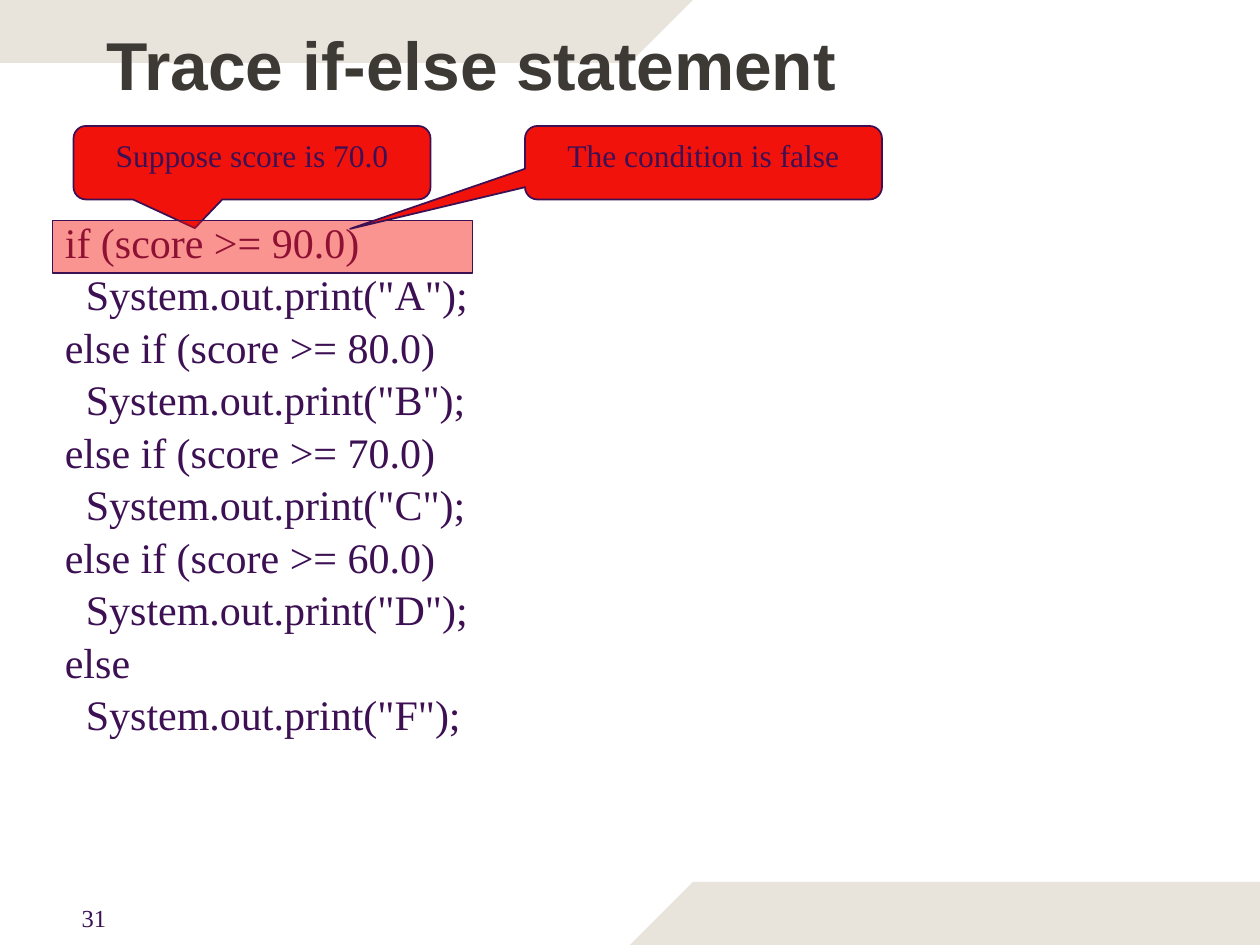
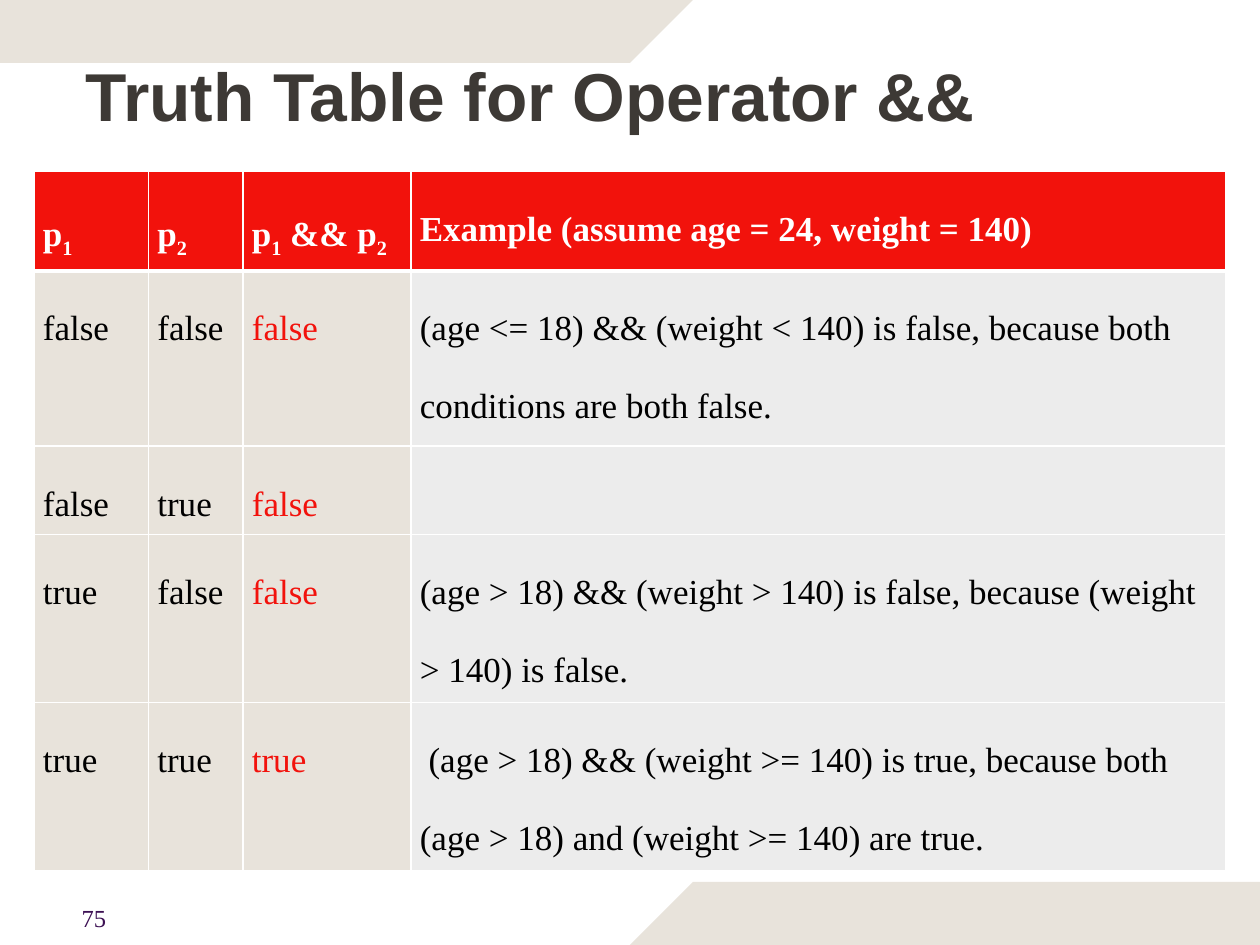
from lxml.etree import SubElement
from pptx import Presentation
from pptx.dml.color import RGBColor as RGB
from pptx.enum.shapes import MSO_SHAPE as SHAPE
from pptx.enum.text import MSO_ANCHOR as ANCHOR, PP_ALIGN as ALIGN
from pptx.oxml.ns import qn
from pptx.util import Inches, Pt

C = {"band": "E8E3DB", "title": "3D3935", "ink": "3C1053", "red": "F2120C",
     "pale": "ECECEC", "white": "FFFFFF", "black": "000000"}
SERIF, SANS = "Times New Roman", "Arial"

prs = Presentation()
prs.slide_width, prs.slide_height = Inches(10), Inches(7.5)
COLS, ROWS = 120, 90
U = prs.slide_width // COLS


def grid(*units):
    return [int(u * U) for u in units]


def add_run(p, text, size, color, font=SERIF, bold=False, base=0):
    r = p.add_run()
    r.text = text
    r.font.size, r.font.name, r.font.bold = Pt(size), font, bold
    r.font.color.rgb = RGB.from_string(C[color])
    if base:
        r.font._element.set("baseline", str(base * 1000))


bands = [[(0, 0), (66, 0), (60, 6), (0, 6)],
         [(COLS, ROWS), (60, ROWS), (66, 84), (COLS, 84)]]
heads = [("Trace if-else statement", (9, 0, 105, 12), "31"),
         ("Truth Table for Operator &&", (7, 0, 102, 18), "75")]

slides = []
for title, title_box, number in heads:
    s = prs.slides.add_slide(prs.slide_layouts[6])
    slides.append(s)
    for band in bands:
        fb = s.shapes.build_freeform(*band[0], scale=U)
        fb.add_line_segments(band[1:], close=True)
        sp = fb.convert_to_shape()
        sp.shadow.inherit = False
        sp.fill.solid()
        sp.fill.fore_color.rgb = RGB.from_string(C["band"])
        sp.line.fill.background()
    tf = s.shapes.add_textbox(*grid(6.6, 85.4, 6, 3.3)).text_frame
    add_run(tf.paragraphs[0], number, 14, "ink")
    tf = s.shapes.add_textbox(*grid(*title_box)).text_frame
    tf.word_wrap, tf.vertical_anchor = True, ANCHOR.MIDDLE
    add_run(tf.paragraphs[0], title, 38.7, "title", SANS, True)

trace, truth = slides

code = '''if (score >= 90.0)
  System.out.print("A");
else if (score >= 80.0)
  System.out.print("B");
else if (score >= 70.0)
  System.out.print("C");
else if (score >= 60.0)
  System.out.print("D");
else
  System.out.print("F");'''
tf = trace.shapes.add_textbox(*grid(5, 20, 45, 49.7)).text_frame
for i, line in enumerate(code.split("\n")):
    p = tf.add_paragraph() if i else tf.paragraphs[0]
    p.space_after = Pt(1.2)
    add_run(p, line, 24, "ink")

CALLOUT = SHAPE.ROUNDED_RECTANGULAR_CALLOUT
marks = [(CALLOUT, (7, 12, 34, 7), "Suppose score is 70.0", (-0.16, 0.89, 0.17)),
         (SHAPE.RECTANGLE, (5, 21, 40, 5), "", ()),
         (CALLOUT, (50, 12, 34, 7), "The condition is false", (-0.99, 0.9, 0.17))]
for kind, box, text, adjust in marks:
    sp = trace.shapes.add_shape(kind, *grid(*box))
    sp.shadow.inherit = False
    sp.fill.solid()
    sp.fill.fore_color.rgb = RGB.from_string(C["red"])
    sp.line.color.rgb = RGB.from_string(C["ink"])
    sp.line.width = Pt(1)
    for i, value in enumerate(adjust):
        sp.adjustments[i] = value
    if text:
        tf = sp.text_frame
        tf.word_wrap, tf.vertical_anchor = True, ANCHOR.TOP
        p = tf.paragraphs[0]
        p.alignment = ALIGN.CENTER
        add_run(p, text, 18, "ink")
    else:
        rgb = sp._element.spPr.find(".//" + qn("a:srgbClr"))
        SubElement(rgb, qn("a:alpha")).set("val", "45000")

p1, p2 = [("p", 0), ("1", -25)], [("p", 0), ("2", -25)]
rows = [
    [p1, p2, p1 + [(" && p", 0), ("2", -25)], "Example (assume age = 24, weight = 140)"],
    ["false", "false", "false",
     "(age <= 18) && (weight < 140) is false, because both conditions are both false."],
    ["false", "true", "false", ""],
    ["true", "false", "false",
     "(age > 18) && (weight > 140) is false, because (weight > 140) is false."],
    ["true", "true", "true",
     "(age > 18) && (weight >= 140) is true, because both (age > 18) and (weight >= 140) are true."],
]
col_units, row_units = [10.9, 9, 16, 77.6], [9.5, 16.7, 8.4, 16, 16]
tbl = truth.shapes.add_table(len(rows), len(col_units), *grid(
    3.25, 16.3, sum(col_units), sum(row_units))).table
tbl.horz_banding = False
for col, width in zip(tbl.columns, grid(*col_units)):
    col.width = width
for row, height in zip(tbl.rows, grid(*row_units)):
    row.height = height

for i, row in enumerate(rows):
    for j, content in enumerate(row):
        cell = tbl.cell(i, j)
        cell.margin_left = cell.margin_right = Inches(0.07)
        cell.margin_top = cell.margin_bottom = 0
        tcPr = cell._tc.get_or_add_tcPr()
        for side in "LRTB":
            thick = (i, side) in [(0, "B"), (1, "T")]
            ln = SubElement(tcPr, qn("a:ln" + side), w=str(Pt(3 if thick else 1)))
            fill = SubElement(ln, qn("a:solidFill"))
            SubElement(fill, qn("a:srgbClr"), val=C["white"])
        cell.fill.solid()
        shade = "red" if i == 0 else "pale" if j == 3 else "band"
        cell.fill.fore_color.rgb = RGB.from_string(C[shade])
        if not content:
            continue
        p = cell.text_frame.paragraphs[0]
        p.line_spacing = 2.0
        if (i, j) == (4, 3):
            p._p.get_or_add_pPr().set("indent", str(Pt(5)))
        color = "white" if i == 0 else "red" if j == 2 else "black"
        parts = [(content, 0)] if isinstance(content, str) else content
        for text, base in parts:
            add_run(p, text, 20, color, bold=i == 0, base=base)

prs.save("out.pptx")
